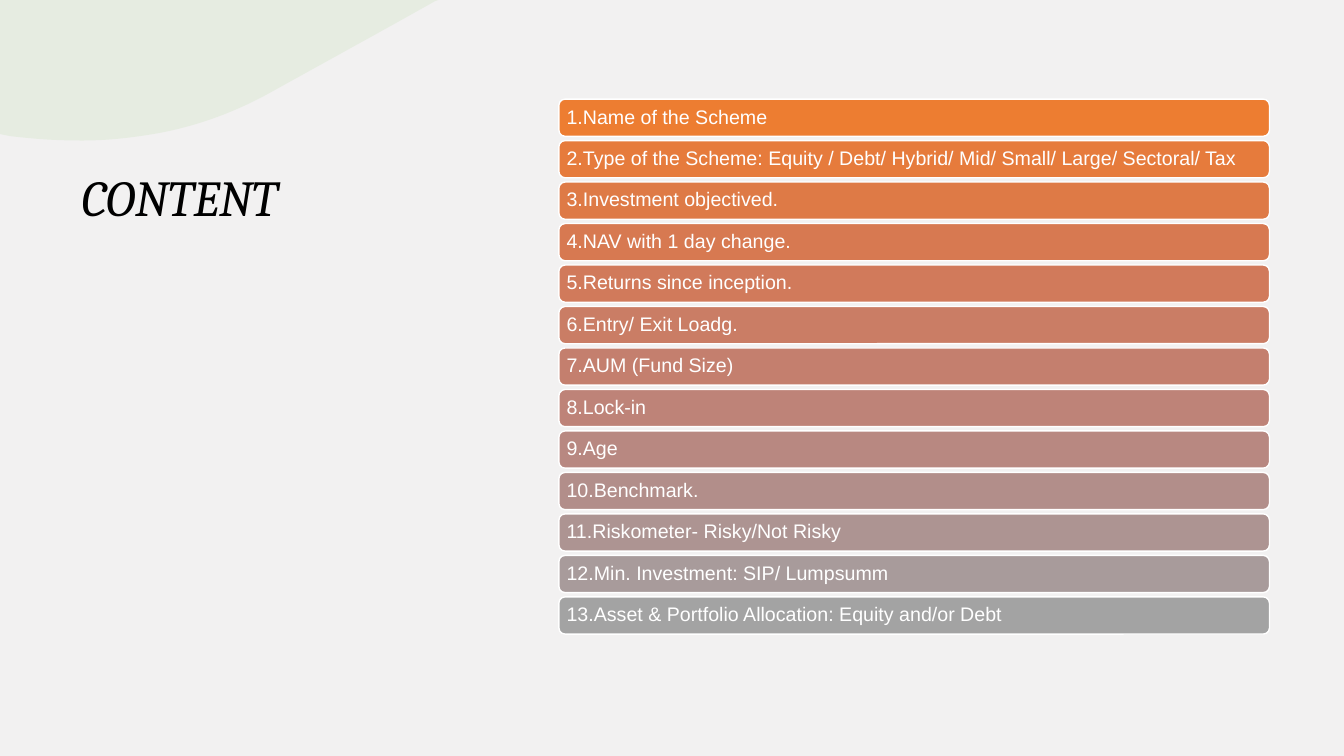
from lxml import etree
from pptx import Presentation
from pptx.dml.color import RGBColor
from pptx.enum import shapes, text
from pptx.oxml import ns
from pptx.util import Pt


def paint(fill, color):
    fill.solid()
    fill.fore_color.rgb = RGBColor.from_string(color)


def curve(p0, p1, p2, p3, steps=24):
    """Points along a cubic Bezier curve, without its start."""
    points = []
    for i in range(1, steps + 1):
        t = i / steps
        weights = ((1 - t) ** 3, 3 * t * (1 - t) ** 2, 3 * t * t * (1 - t), t ** 3)
        points.append(tuple(sum(w * p[axis] for w, p in zip(weights, (p0, p1, p2, p3)))
                            for axis in (0, 1)))
    return points


prs = Presentation()
prs.slide_width, prs.slide_height = Pt(960), Pt(540)
slide = prs.slides.add_slide(prs.slide_layouts[5])
paint(slide.background.fill, "F2F1F1")

# Title
title = slide.shapes.title
title.left, title.top, title.width, title.height = Pt(51), Pt(120), Pt(348), Pt(358)
heading = title.text_frame
heading.text = "CONTENT"
heading.auto_size = text.MSO_AUTO_SIZE.NONE
heading.vertical_anchor = text.MSO_ANCHOR.TOP
heading.paragraphs[0].alignment = text.PP_ALIGN.LEFT
heading.paragraphs[0].line_spacing = 0.9
heading_font = heading.paragraphs[0].runs[0].font
heading_font.name, heading_font.size, heading_font.italic = "Cambria", Pt(36), True
heading_font.color.rgb = RGBColor.from_string("000000")

# Green wave in the top left corner
wave_start = (53.5, 100.3)
wave_edge = [(0, 95.8), (0, 0), (313.2, 0), (311, 0.7)]
wave_edge = curve(wave_start, (38, 100.3), (22.3, 99), (7.2, 97.2)) + wave_edge
for bend in (((271.4, 23), (230.4, 45.4), (193, 66.2)),
             ((167, 80.6), (140.4, 90), (113.8, 95)),
             ((93.6, 98.6), (73.4, 100.8), wave_start)):
    wave_edge += curve(wave_edge[-1], *bend)
outline = slide.shapes.build_freeform(Pt(wave_start[0]), Pt(wave_start[1]))
outline.add_line_segments([(Pt(x), Pt(y)) for x, y in wave_edge])
wave = outline.convert_to_shape()
wave.shadow.inherit = False
wave.line.fill.background()
paint(wave.fill, "C5E0B4")
wave_color = wave.fill._xPr.find(ns.qn("a:solidFill"))[0]
etree.SubElement(wave_color, ns.qn("a:alpha"), val="25000")

# Numbered topic bars, fading from orange to grey
topics = [
    ("Name of the Scheme", "ED7D31"),
    ("Type of the Scheme: Equity / Debt/ Hybrid/ Mid/ Small/ Large/ Sectoral/ Tax", "E67B3C"),
    ("Investment objectived.", "DE7A46"),
    ("NAV with 1 day change.", "D77951"),
    ("Returns since inception.", "D17A5B"),
    ("Entry/ Exit Loadg.", "CA7D65"),
    ("AUM (Fund Size)", "C47F6E"),
    ("Lock-in", "BE8378"),
    ("Age", "B88881"),
    ("Benchmark.", "B28E8A"),
    ("Riskometer- Risky/Not Risky", "AD9492"),
    ("Min. Investment: SIP/ Lumpsumm", "A89B9B"),
    ("Asset & Portfolio Allocation: Equity and/or Debt", "A3A3A3"),
]
for i, (topic, color) in enumerate(topics):
    bar = slide.shapes.add_shape(shapes.MSO_SHAPE.ROUNDED_RECTANGLE,
                                 Pt(399.2), Pt(70.8 + 29.63 * i), Pt(507.6), Pt(26.6))
    bar.shadow.inherit = False
    paint(bar.fill, color)
    paint(bar.line.fill, "FFFFFF")
    bar.line.width = Pt(1)
    label = bar.text_frame
    label.margin_left = label.margin_right = Pt(4.2)
    label.margin_top = label.margin_bottom = Pt(4.2)
    label.word_wrap = True
    label.vertical_anchor = text.MSO_ANCHOR.MIDDLE
    label.text = f"{i + 1}.{topic}"
    line = label.paragraphs[0]
    line.alignment = text.PP_ALIGN.LEFT
    line.line_spacing = 0.9
    font = line.runs[0].font
    font.name, font.size = "Arial", Pt(14)
    font.color.rgb = RGBColor.from_string("FFFFFF")

prs.save("out.pptx")
